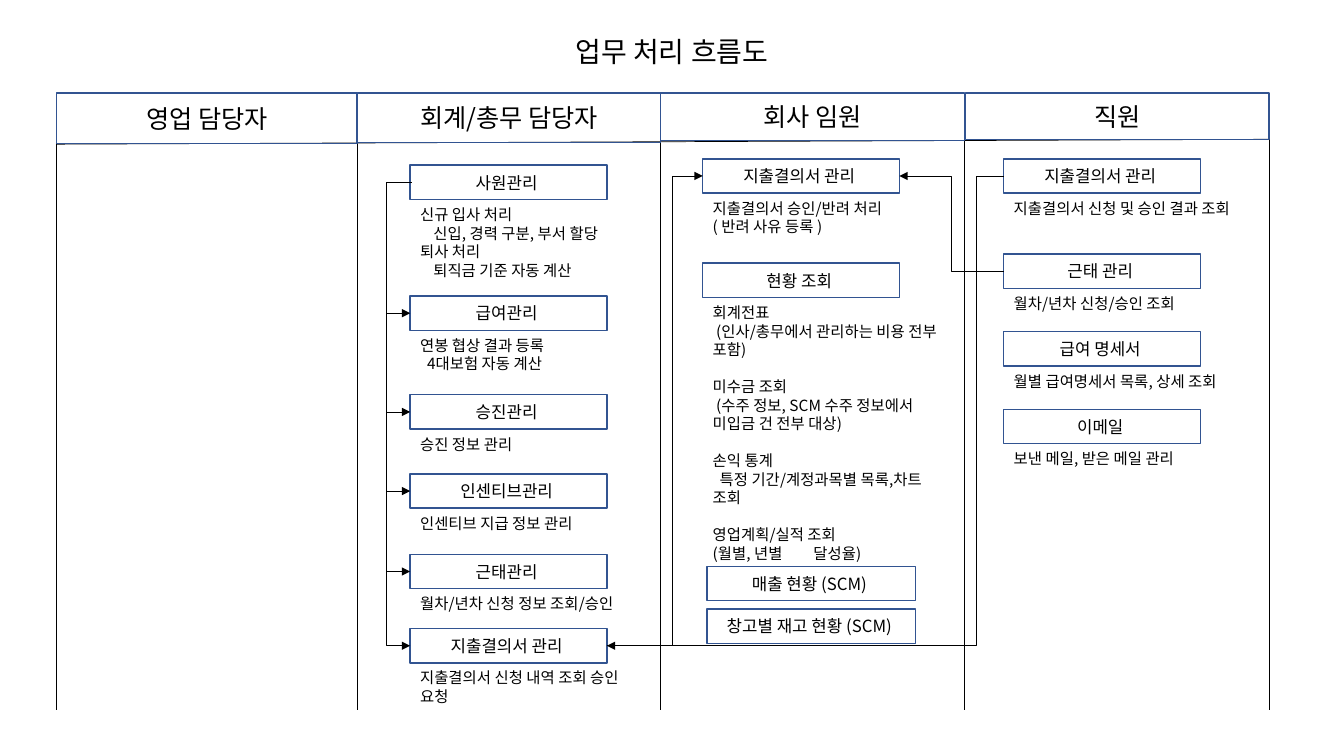
import pptx
import pptx.util
import pptx.dml.color
import pptx.enum.shapes
import pptx.enum.text
import pptx.oxml.ns
import lxml.etree

Pt = pptx.util.Pt
qn = pptx.oxml.ns.qn
COLORS = {"text": "000000", "line": "000000", "border": "325491"}
FONT = "Noto Sans CJK KR"
BOX_WIDTH, BOX_HEIGHT, NOTE_OFFSET = 140.5, 24.5, 25
CENTER = pptx.enum.text.PP_ALIGN.CENTER

deck = pptx.Presentation()
deck.slide_width, deck.slide_height = Pt(960), Pt(540)
page = deck.slides.add_slide(deck.slide_layouts[6])


def add_text(text, *, left, top, width, height, size, border=None, align=None,
             indent=0, gap=0, tab=None):
    """Place text; lines may be (text, overrides of indent, gap and tab)."""
    if border:
        rect = pptx.enum.shapes.MSO_SHAPE.RECTANGLE
        box = page.shapes.add_shape(rect, Pt(left), Pt(top), Pt(width), Pt(height))
        box.shadow.inherit = False
        box.fill.background()
        box.line.color.rgb = pptx.dml.color.RGBColor.from_string(border)
        box.line.width = Pt(1)
        box.text_frame.vertical_anchor = pptx.enum.text.MSO_ANCHOR.MIDDLE
    else:
        box = page.shapes.add_textbox(Pt(left), Pt(top), Pt(width), Pt(height))
        box.text_frame.auto_size = pptx.enum.text.MSO_AUTO_SIZE.SHAPE_TO_FIT_TEXT
    frame = box.text_frame
    frame.word_wrap = True
    for index, line in enumerate([text] if isinstance(text, str) else text):
        words, changes = (line, {}) if isinstance(line, str) else line
        style = {"indent": indent, "gap": gap, "tab": tab, **changes}
        para = frame.add_paragraph() if index else frame.paragraphs[0]
        para.alignment = align
        if style["gap"]:
            para.space_before = Pt(style["gap"])
        properties = para._p.get_or_add_pPr()
        properties.set("marL", "0")
        properties.set("indent", str(Pt(style["indent"])))
        if style["tab"]:
            stops = lxml.etree.SubElement(properties, qn("a:tabLst"))
            lxml.etree.SubElement(stops, qn("a:tab"), pos=str(Pt(style["tab"])), algn="l")
        span = para.add_run()
        span.text = words
        span.font.size = Pt(size)
        span.font.color.rgb = pptx.dml.color.RGBColor.from_string(COLORS["text"])
        span.font.name = FONT
        lxml.etree.SubElement(span._r.get_or_add_rPr(), qn("a:ea"), typeface=FONT)


def add_line(start, end, bend_x=None):
    """Draw a straight line, or an elbow arrow that turns at bend_x."""
    kinds = pptx.enum.shapes.MSO_CONNECTOR
    kind = kinds.STRAIGHT if bend_x is None else kinds.ELBOW
    line = page.shapes.add_connector(kind, *(Pt(value) for value in (*start, *end)))
    line.line.color.rgb = pptx.dml.color.RGBColor.from_string(COLORS["line"])
    line.line.width = Pt(0.5)
    shape_properties = line._element.spPr
    if bend_x is not None:
        share = (bend_x - start[0]) / (end[0] - start[0])
        guides = shape_properties.find(qn("a:prstGeom")).get_or_add_avLst()
        lxml.etree.SubElement(guides, qn("a:gd"), name="adj1", fmla=f"val {round(share * 100000)}")
        lxml.etree.SubElement(line.line._get_or_add_ln(), qn("a:tailEnd"), type="triangle")
    lxml.etree.SubElement(shape_properties, qn("a:effectLst"))


add_text("업무 처리 흐름도", left=0, top=21, width=960, height=31.5, size=20, align=CENTER)

add_line((40.5, 103), (906.5, 99.5))
for x in (40.5, 255.5, 471.5, 689, 906.5):
    add_line((x, 67.5), (x, 507))

lanes = [
    ("영업 담당자", 40.5, 214.5, 36),
    ("회계/총무 담당자", 255.5, 216.5, 35.25),
    ("회사 임원", 472, 217, 34),
    ("직원", 689.5, 217, 33),
]
for name, left, width, height in lanes:
    add_text(name, left=left, top=66.5, width=width, height=height, size=18,
             border=COLORS["border"], align=CENTER)

ACCOUNTS, EXECUTIVES, STAFF = 293, 502, 717
# Each task: box left, box top, title, note width, note lines
tasks = [
    (ACCOUNTS, 118, "사원관리", 158.5, [
        "신규 입사 처리", ("신입, 경력 구분, 부서 할당", {"indent": 9.5}),
        "퇴사 처리", ("퇴직금 기준 자동 계산", {"indent": 9.5})]),
    (ACCOUNTS, 211.5, "급여관리", 140.5, [
        "연봉 협상 결과 등록", ("4대보험 자동 계산", {"indent": 5})]),
    (ACCOUNTS, 282, "승진관리", 140.5, ["승진 정보 관리"]),
    (ACCOUNTS, 338.5, "인센티브관리", 140.5, ["인센티브 지급 정보 관리"]),
    (ACCOUNTS, 396, "근태관리", 178, ["월차/년차 신청 정보 조회/승인"]),
    (ACCOUNTS, 449, "지출결의서 관리", 178, ["지출결의서 신청 내역 조회 승인 요청"]),
    (EXECUTIVES, 113.5, "지출결의서 관리", 178, [
        "지출결의서 승인/반려 처리", "( 반려 사유 등록 )"]),
    (EXECUTIVES, 188, "현황 조회", 178, [
        "회계전표",
        ("(인사/총무에서 관리하는 비용 전부 포함)", {"indent": 2.5}),
        ("미수금 조회", {"gap": 13.3}),
        ("(수주 정보, SCM 수주 정보에서 미입금 건 전부 대상)", {"indent": 2.5}),
        ("손익 통계", {"gap": 13.3}),
        ("특정 기간/계정과목별 목록,차트 조회", {"indent": 5}),
        ("영업계획/실적 조회", {"gap": 13.3}),
        ("(월별, 년별\t달성율)", {"tab": 66.5})]),
    (STAFF, 113.5, "지출결의서 관리", 178, ["지출결의서 신청 및 승인 결과 조회"]),
    (STAFF, 181.5, "근태 관리", 178, ["월차/년차 신청/승인 조회"]),
    (STAFF, 237, "급여 명세서", 178, ["월별 급여명세서 목록, 상세 조회"]),
    (STAFF, 292.5, "이메일", 178, ["보낸 메일, 받은 메일 관리"]),
]
for left, top, title, note_width, note in tasks:
    add_text(f"{title} ", left=left, top=top, width=BOX_WIDTH, height=BOX_HEIGHT, size=12,
             border=COLORS["border"], align=CENTER)
    add_text(note, left=left, top=top + NOTE_OFFSET, width=note_width,
             height=7.2 + 13.3 * len(note), size=11)

for top, title in ((404.5, "매출 현황 (SCM)"), (435, "창고별 재고 현황 (SCM)")):
    add_text(f"{title} ", left=505, top=top, width=149, height=BOX_HEIGHT, size=12,
             border=COLORS["border"], align=CENTER)

account_middles = [top + BOX_HEIGHT / 2 for left, top, *_ in tasks if left == ACCOUNTS]
for middle in account_middles[1:]:
    add_line((ACCOUNTS + 1, account_middles[0]), (ACCOUNTS, middle), bend_x=275.75)

expense_middle = account_middles[-1]
approval_middle = 113.5 + BOX_HEIGHT / 2
attendance_middle = 181.5 + BOX_HEIGHT / 2
add_line((STAFF, approval_middle), (ACCOUNTS + BOX_WIDTH, expense_middle), bend_x=697.5)
add_line((ACCOUNTS + BOX_WIDTH, expense_middle), (EXECUTIVES, approval_middle), bend_x=480.25)
add_line((STAFF, attendance_middle), (EXECUTIVES + BOX_WIDTH, approval_middle), bend_x=679.75)

deck.save("out.pptx")
